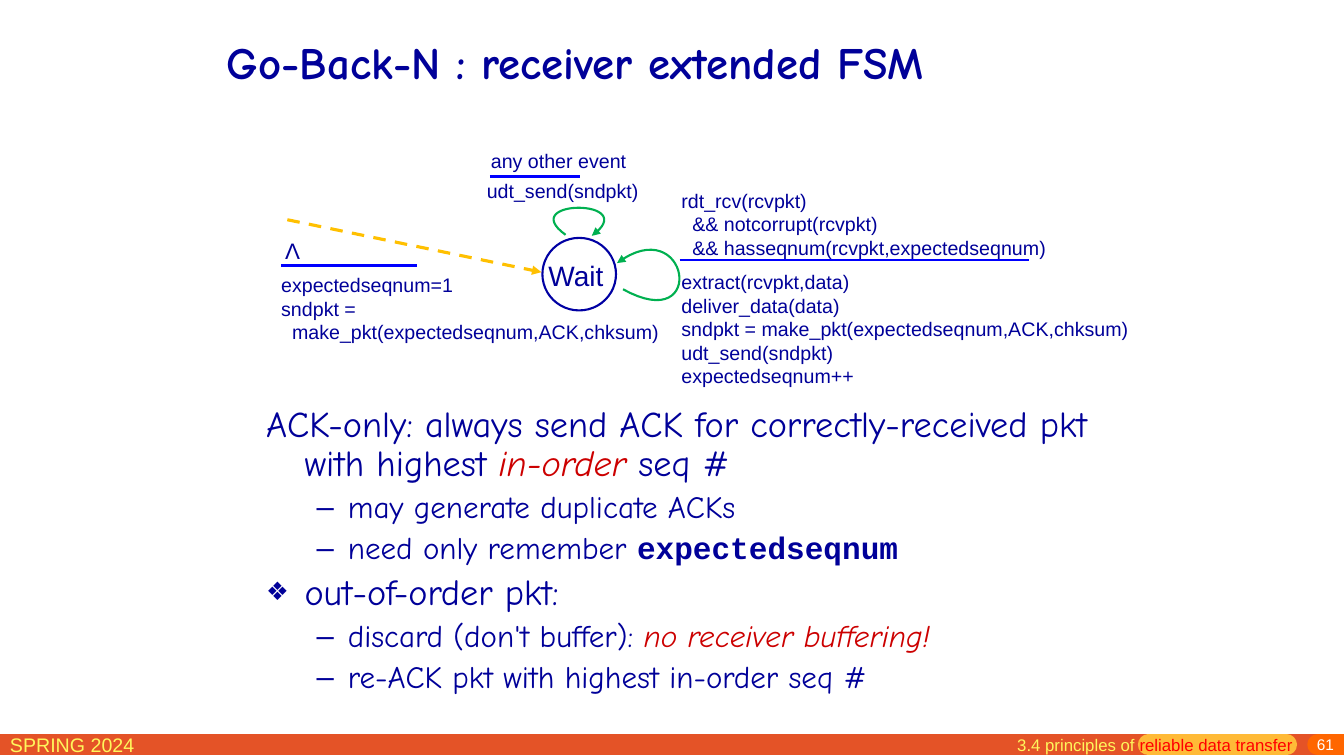
import pptx
import pptx.util
import pptx.dml.color
import pptx.enum.dml
import pptx.enum.shapes
import pptx.enum.text
import lxml.etree

PX = 9144
HUES = {
    "navy": "000099", "ring": "0000A3", "blue": "0000FF", "green": "00B050",
    "gold": "FFC000", "red": "CC0000", "white": "FFFFFF", "bar": "E45327",
    "pill": "FFBA37", "badge": "FF6600", "lemon": "FFF65C", "alert": "FF0000",
}


def rgb(hue):
    return pptx.dml.color.RGBColor.from_string(HUES[hue])


def child(node, tag, **attrs):
    return lxml.etree.SubElement(node, pptx.oxml.ns.qn(tag), attrs)


class Deck:
    face = "Arial"
    head = "Comic Neue"
    code = "Courier New"

    def __init__(self):
        self.prs = pptx.Presentation()
        self.prs.slide_width = 1333 * PX
        self.prs.slide_height = 750 * PX
        self.slide = self.prs.slides.add_slide(self.prs.slide_layouts[1])
        self.shapes = self.slide.shapes

    def font(self, font, size=None, hue=None, face=None, bold=None, slant=None):
        if size:
            font.size = pptx.util.Pt(size)
        if hue:
            font.color.rgb = rgb(hue)
        if face:
            font.name = face
        font.bold = bold
        font.italic = slant

    def place(self, shape, box):
        shape.left, shape.top, shape.width, shape.height = [n * PX for n in box]

    def fill(self, para, parts):
        for part in parts:
            words, look = part if isinstance(part, tuple) else (part, None)
            run = para.add_run()
            run.text = words
            if look:
                self.font(run.font, **look)

    def title(self, words, box):
        shape = self.shapes.title
        self.place(shape, box)
        frame = shape.text_frame
        frame.text = words
        frame.auto_size = pptx.enum.text.MSO_AUTO_SIZE.NONE
        frame.vertical_anchor = pptx.enum.text.MSO_ANCHOR.MIDDLE
        para = frame.paragraphs[0]
        para.alignment = pptx.enum.text.PP_ALIGN.LEFT
        self.font(para.font, 32, "navy", self.head, bold=True)

    def body(self, items, box):
        shape = self.slide.placeholders[1]
        self.place(shape, box)
        frame = shape.text_frame
        frame.auto_size = pptx.enum.text.MSO_AUTO_SIZE.NONE
        frame.vertical_anchor = pptx.enum.text.MSO_ANCHOR.TOP
        for i, (level, mark, parts) in enumerate(items):
            para = frame.add_paragraph() if i else frame.paragraphs[0]
            para.level = level
            left, hang, size, gap = ((38, 38, 25.9, 6), (81, 31, 22.2, 5.2))[level]
            props = para._p.get_or_add_pPr()
            props.set("marL", str(left * PX))
            props.set("indent", str(-hang * PX))
            if mark:
                if level == 0:
                    child(props, "a:buSzPct", val="70000")
                child(props, "a:buFont", typeface=self.face)
                child(props, "a:buChar", char=mark)
            else:
                child(props, "a:buNone")
            para.line_spacing = 0.9
            para.space_before = pptx.util.Pt(gap if i else 0)
            self.font(para.font, size, "navy", self.head)
            self.fill(para, parts)

    def text(self, box, lines, size=14, hue="navy", wrap=True):
        shape = self.shapes.add_textbox(*[n * PX for n in box])
        frame = shape.text_frame
        frame.word_wrap = wrap
        for i, line in enumerate(lines):
            para = frame.add_paragraph() if i else frame.paragraphs[0]
            self.font(para.font, size, hue, self.face)
            self.fill(para, line if isinstance(line, list) else [line])
        return frame

    def stroke(self, shape, hue, width, arrow=False):
        shape.line.color.rgb = rgb(hue)
        shape.line.width = pptx.util.Pt(width)
        if arrow:
            child(shape.line._get_or_add_ln(), "a:tailEnd", type="triangle")

    def line(self, ends, hue, width, dash=False, arrow=False, cap="flat"):
        kind = pptx.enum.shapes.MSO_CONNECTOR.STRAIGHT
        shape = self.shapes.add_connector(kind, *[n * PX for n in ends])
        child(shape._element.spPr, "a:effectLst")
        if dash:
            shape.line.dash_style = pptx.enum.dml.MSO_LINE.DASH
        self.stroke(shape, hue, width, arrow)
        shape.line._get_or_add_ln().set("cap", cap)

    def circle(self, box):
        kind = pptx.enum.shapes.MSO_SHAPE.OVAL
        shape = self.shapes.add_shape(kind, *[n * PX for n in box])
        shape.shadow.inherit = False
        shape.fill.solid()
        shape.fill.fore_color.rgb = rgb("white")
        self.stroke(shape, "ring", 1.5)

    def loop(self, *knots):
        steps = 32
        dots = []
        for i in range(steps + 1):
            t = i / steps
            u = 1 - t
            mix = (u ** 3, 3 * u * u * t, 3 * u * t * t, t ** 3)
            dots.append([round(PX * sum(m * k[axis] for m, k in zip(mix, knots)))
                         for axis in (0, 1)])
        pen = self.shapes.build_freeform(*dots[0])
        pen.add_line_segments(dots[1:], close=False)
        shape = pen.convert_to_shape()
        shape.shadow.inherit = False
        shape.fill.background()
        self.stroke(shape, "green", 1.5, arrow=True)


def footer(deck):
    deck.line((0, 739, 1139, 739), "bar", 15)
    deck.line((1120, 739, 1333, 739), "bar", 15)
    deck.line((1139, 739, 1276, 739), "pill", 15, cap="rnd")
    deck.line((1307, 739, 1333, 739), "badge", 15, cap="rnd")
    deck.text((0, 722, 229, 31), ["SPRING 2024"], hue="lemon")
    page = deck.text((1075, 732, 258, 18), ["61"], 11, "white")
    page.margin_top = 0
    page.margin_bottom = 5 * PX
    page.vertical_anchor = pptx.enum.text.MSO_ANCHOR.MIDDLE
    page.paragraphs[0].alignment = pptx.enum.text.PP_ALIGN.RIGHT
    topic = ["3.4 principles of ", ("reliable data transfer", {"hue": "alert"})]
    deck.text((999, 724, 301, 26), [topic], 12, "lemon")


def machine(deck):
    deck.circle((538, 236, 73, 72))
    deck.text((534, 252, 88, 37), ["Wait"], 20)
    deck.line((285, 218, 537, 270), "gold", 2.25, dash=True, arrow=True)
    deck.loop((618, 287), (703, 334), (683, 208), (612, 261))
    deck.text((666, 182, 390, 62), [
        "rdt_rcv(rcvpkt)",
        "  && notcorrupt(rcvpkt)",
        "  && hasseqnum(rcvpkt,expectedseqnum)"])
    deck.line((674, 258, 1021, 258), "blue", 1.5)
    deck.text((666, 263, 472, 94), [
        "extract(rcvpkt,data)",
        "deliver_data(data)",
        "sndpkt = make_pkt(expectedseqnum,ACK,chksum)",
        "udt_send(sndpkt)",
        "expectedseqnum++"])
    deck.text((473, 173, 177, 34), ["udt_send(sndpkt)"])
    deck.text((477, 143, 182, 27), ["any other event"])
    deck.line((486, 175, 575, 175), "blue", 2.25)
    deck.loop((561, 233), (511, 197), (638, 197), (587, 234))
    deck.line((279, 263, 414, 263), "blue", 2.25)
    deck.text((269, 266, 398, 107), [
        "expectedseqnum=1",
        "sndpkt =",
        "  make_pkt(expectedseqnum,ACK,chksum)"])
    deck.text((273, 230, 35, 37), ["Λ"], 16, wrap=False)


def main():
    deck = Deck()
    red = {"hue": "red", "slant": True}
    deck.title("Go-Back-N : receiver extended FSM", (215, 23, 850, 77))
    deck.body([
        (0, None, ["ACK-only: always send ACK for correctly-received pkt with highest ",
                   ("in-order ", red), "seq #"]),
        (1, "–", ["may generate duplicate ACKs"]),
        (1, "–", ["need only remember ",
                  ("expectedseqnum", {"face": deck.code, "bold": True})]),
        (0, "❖", ["out-of-order pkt:"]),
        (1, "–", ["discard (don't buffer): ", ("no receiver buffering!", red)]),
        (1, "–", ["re-ACK pkt with highest in-order seq #"]),
    ], (254, 398, 891, 312))
    footer(deck)
    machine(deck)
    deck.prs.save("out.pptx")


if __name__ == "__main__":
    main()
